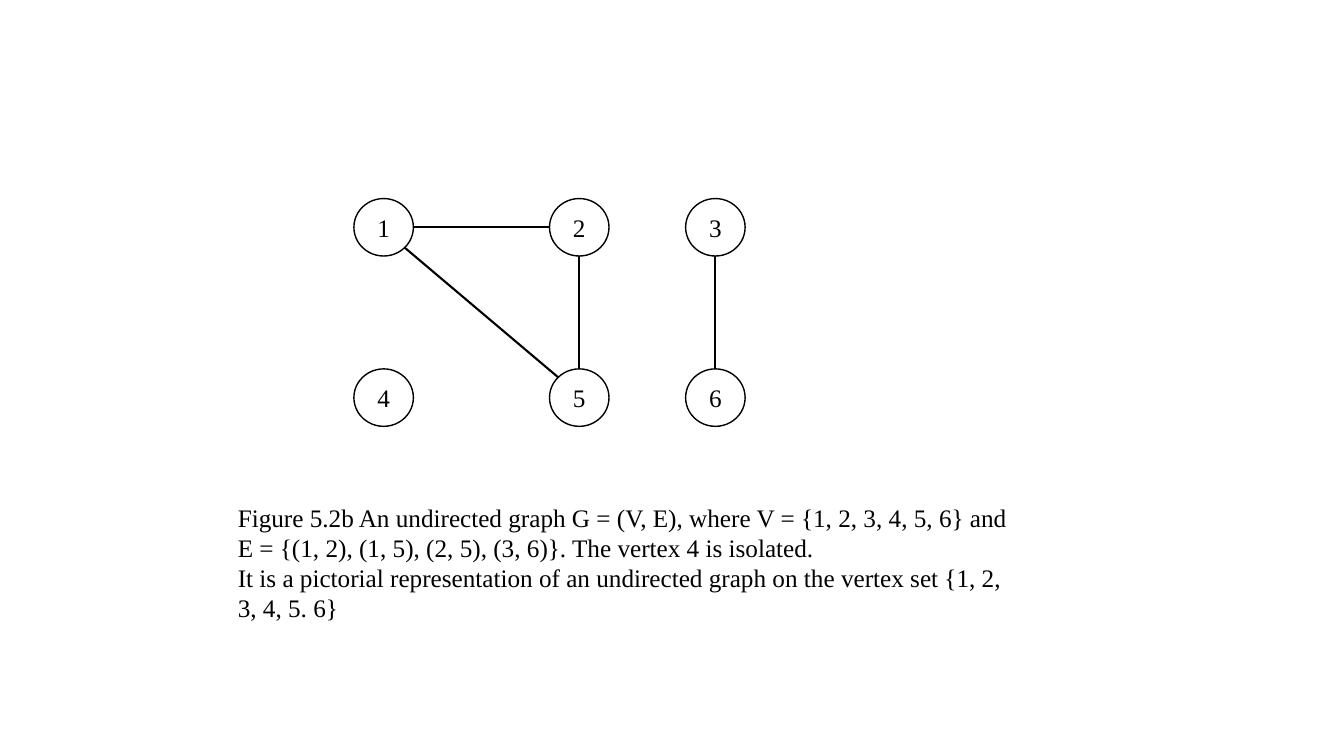
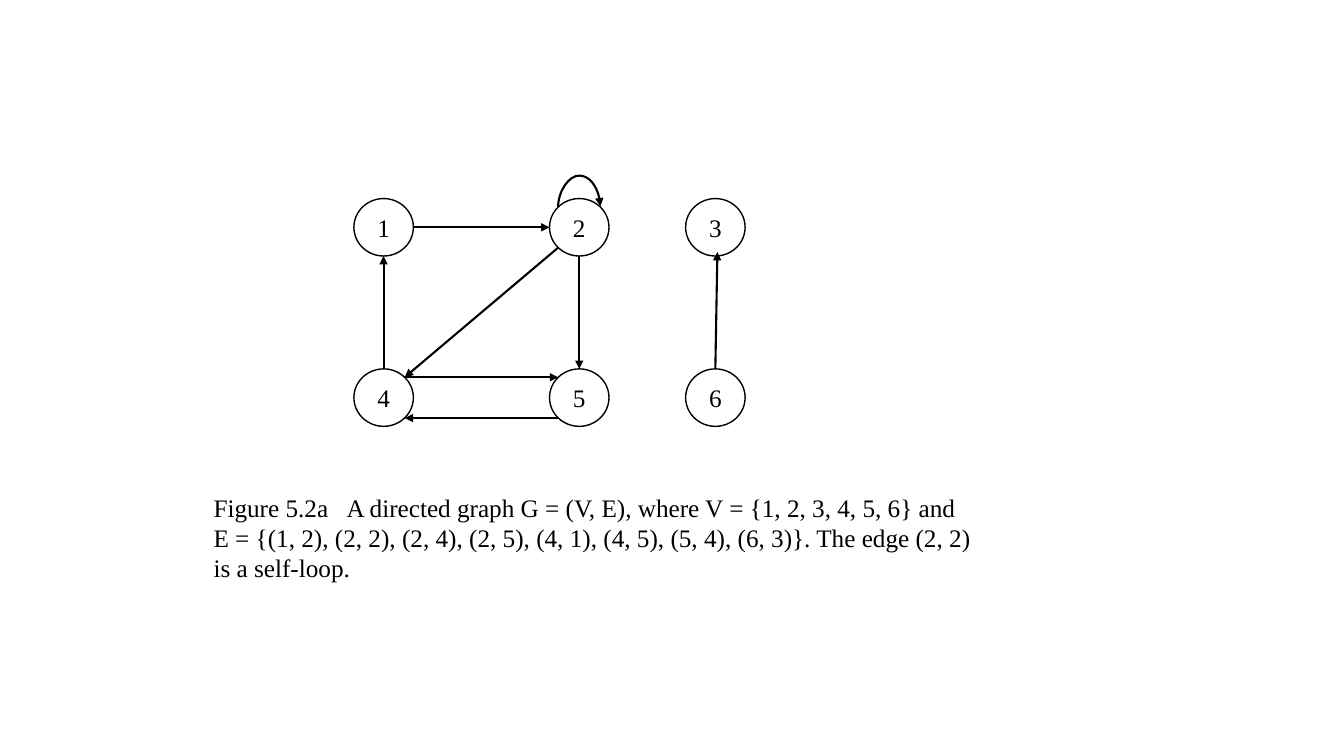
from lxml.etree import SubElement
from pptx import Presentation
from pptx.dml.color import RGBColor
from pptx.enum.shapes import MSO_CONNECTOR as Link, MSO_SHAPE as Shape
from pptx.enum.text import MSO_ANCHOR as Anchor, MSO_AUTO_SIZE as Fit, PP_ALIGN as Align
from pptx.oxml.ns import qn
from pptx.util import Emu, Pt

PX = 9144
INK, PAPER = "000000", "FFFFFF"
FONT = "Times New Roman"
VERTEX_W, VERTEX_H = 59, 57
COLUMNS, ROWS = (0, 194, 329), (0, 169)
GRAPH_LEFT, GRAPH_TOP = 351, 197
DIAGONAL = 0.71
SITES = {
    "n": (0, -1), "s": (0, 1), "w": (-1, 0), "e": (1, 0),
    "nw": (-DIAGONAL, -DIAGONAL), "ne": (DIAGONAL, -DIAGONAL),
    "sw": (-DIAGONAL, DIAGONAL), "se": (DIAGONAL, DIAGONAL),
}

UNDIRECTED = [
    (1, "e", 2, "w"), (1, "se", 5, "nw"), (2, "s", 5, "n"), (3, "s", 6, "n"),
]
DIRECTED = [
    (1, "e", 2, "w"), (4, "n", 1, "s"), (2, "sw", 4, "ne"), (2, "s", 5, "n"),
    (6, "n", 3, "s", 2, -4), (4, "ne", 5, "nw"), (5, "sw", 4, "se"),
]
UNDIRECTED_CAPTION = [
    "Figure 5.2b An undirected graph G = (V, E), where V = {1, 2, 3, 4, 5, 6} and "
    "E = {(1, 2), (1, 5), (2, 5), (3, 6)}. The vertex 4 is isolated.",
    "It is a pictorial representation of an undirected graph on the vertex set "
    "{1, 2, 3, 4, 5. 6}",
]
DIRECTED_CAPTION = [
    "Figure 5.2a\tA directed graph G = (V, E), where V = {1, 2, 3, 4, 5, 6} and "
    "E = {(1, 2), (2, 2), (2, 4), (2, 5), (4, 1), (4, 5), (5, 4), (6, 3)}. "
    "The edge (2, 2) is a self-loop.",
]


def px(*lengths):
    """Turn pixel lengths into EMU."""
    return [Emu(round(length * PX)) for length in lengths]


def color(value):
    """Turn a hex string into a colour."""
    return RGBColor.from_string(value)


def write(para, text, size=18, ink=INK, align=Align.LEFT, tab=None):
    """Write one formatted run into a paragraph, with an optional tab stop."""
    para.alignment = align
    if tab:
        stops = SubElement(para._p.get_or_add_pPr(), qn("a:tabLst"))
        SubElement(stops, qn("a:tab"), pos=str(px(tab)[0]), algn="l")
    span = para.add_run()
    span.text = text
    span.font.name, span.font.size = FONT, Pt(size)
    span.font.color.rgb = color(ink)


def add_vertex(page, label, left, top):
    """Draw one numbered circle."""
    vertex = page.shapes.add_shape(Shape.OVAL, *px(left, top, VERTEX_W, VERTEX_H))
    vertex.shadow.inherit = False
    vertex.fill.solid()
    vertex.fill.fore_color.rgb = color(PAPER)
    vertex.line.color.rgb = color(INK)
    vertex.line.width = Pt(1)
    frame = vertex.text_frame
    frame.margin_left = frame.margin_right = frame.margin_top = frame.margin_bottom = 0
    frame.vertical_anchor = Anchor.MIDDLE
    write(frame.paragraphs[0], label, align=Align.CENTER)


def add_edge(page, start, end, arrow=False, kind=Link.STRAIGHT):
    """Draw a connector between two points."""
    edge = page.shapes.add_connector(kind, *px(*start, *end))
    edge.line.color.rgb = color(INK)
    edge.line.width = Pt(1.5)
    if arrow:
        SubElement(edge.line._get_or_add_ln(), qn("a:tailEnd"), type="triangle")
    SubElement(edge._element.spPr, qn("a:effectLst"))
    return edge


def add_loop(page, start, end, rise=32):
    """Draw a curved arrow that leaves and enters the same vertex from above."""
    middle, level = (start[0] + end[0]) / 2, (start[1] + end[1]) / 2
    half = (end[0] - start[0]) / 2
    loop = add_edge(page, (middle + 0.5, level + half), (middle - 0.5, level - half),
                    arrow=True, kind=Link.CURVE)
    properties = loop._element.spPr
    properties.find(qn("a:xfrm")).set("rot", str(90 * 60000))
    guides = properties.find(qn("a:prstGeom")).get_or_add_avLst()
    SubElement(guides, qn("a:gd"), name="adj1", fmla=f"val {rise * 100000}")


def add_graph(page, left, top, edges, directed=False, loop=None):
    """Draw six vertices on a grid, their edges and an optional self-loop."""
    corners = [(left + x, top + y) for y in ROWS for x in COLUMNS]
    for number, corner in enumerate(corners, 1):
        add_vertex(page, str(number), *corner)

    def site(number, side, shift_x=0, shift_y=0):
        """Find a point on the rim of a vertex."""
        x, y = corners[number - 1]
        across, down = SITES[side]
        return (x + VERTEX_W / 2 * (1 + across) + shift_x,
                y + VERTEX_H / 2 * (1 + down) + shift_y)

    for edge in edges:
        add_edge(page, site(*edge[:2]), site(*edge[2:]), arrow=directed)
    if loop:
        add_loop(page, site(loop, "nw"), site(loop, "ne"))


def add_caption(page, left, top, width, height, lines, tab=None):
    """Write the caption under a graph."""
    box = page.shapes.add_textbox(*px(left, top, width, height))
    frame = box.text_frame
    frame.word_wrap = True
    frame.auto_size = Fit.SHAPE_TO_FIT_TEXT
    for index, line in enumerate(lines):
        para = frame.add_paragraph() if index else frame.paragraphs[0]
        write(para, line, tab=tab)


def add_figure(deck, caption_box, caption, edges, tab=None, **graph):
    """Build one slide with a graph and its caption."""
    page = deck.slides.add_slide(deck.slide_layouts[6])
    add_graph(page, GRAPH_LEFT, GRAPH_TOP, edges, **graph)
    add_caption(page, *caption_box, caption, tab=tab)


def main():
    """Build and save the deck."""
    deck = Presentation()
    deck.slide_width, deck.slide_height = px(1333, 750)
    add_figure(deck, (226, 493, 789, 131), UNDIRECTED_CAPTION, UNDIRECTED)
    add_figure(deck, (202, 483, 773, 101), DIRECTED_CAPTION, DIRECTED,
               tab=132, directed=True, loop=2)
    deck.save("out.pptx")


if __name__ == "__main__":
    main()
